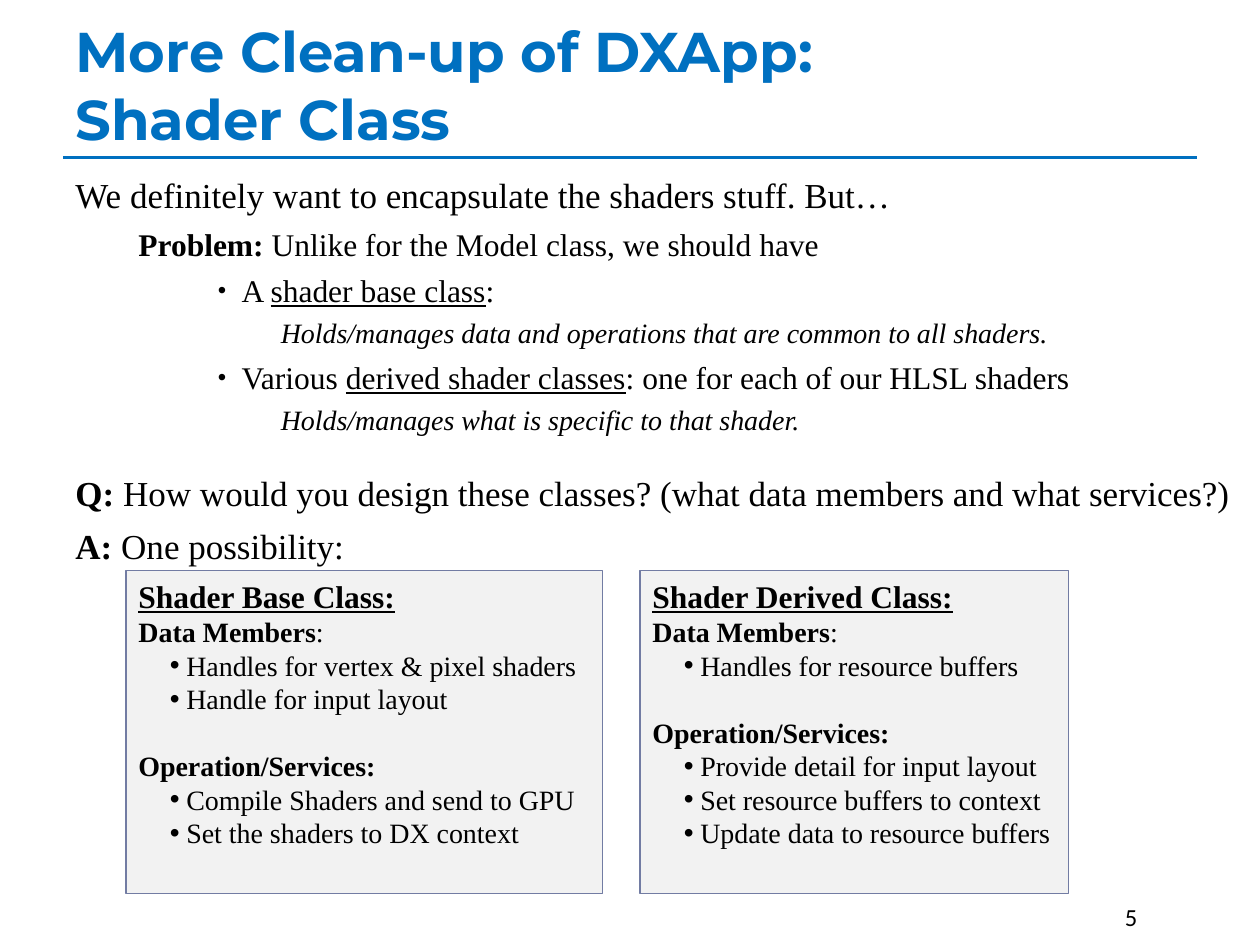
from lxml import etree
from pptx import Presentation
from pptx.dml.color import RGBColor
from pptx.enum.shapes import MSO_CONNECTOR, MSO_SHAPE
from pptx.enum.text import MSO_ANCHOR, PP_ALIGN
from pptx.oxml.ns import qn
from pptx.util import Inches, Pt

STRAIGHT = MSO_CONNECTOR.STRAIGHT
RECTANGLE = MSO_SHAPE.RECTANGLE
TOP, BOTTOM = MSO_ANCHOR.TOP, MSO_ANCHOR.BOTTOM
LEFT = PP_ALIGN.LEFT
BLUE, BLACK, PANEL_FILL, PANEL_LINE = "0070C0", "000000", "F2F2F2", "727CA3"
SERIF = "Times New Roman"

TITLE = [("title", [("More Clean-up of DXApp:\nShader Class", "b")])]
PAGE_NUMBER = [("number", [("5", "")])]
BODY = [
    ("statement", [("We definitely want to encapsulate the shaders stuff. But…", "")]),
    ("problem", [("Problem:", "b"), (" Unlike for the Model class, we should have", "")]),
    ("point", [("A ", ""), ("shader base class", "u"), (":", "")]),
    ("detail", [("Holds/manages data and operations that are common to all shaders.", "i")]),
    ("point", [("Various ", ""), ("derived shader classes", "u"),
               (": one for each of our HLSL shaders", "")]),
    ("detail", [("Holds/manages what is specific to that shader.", "i")]),
    ("question", [("Q: ", "b"),
                  ("How would you design these classes? "
                   "(what data members and what services?)", "")]),
    ("statement", [("A: ", "b"), ("One possibility:", "")]),
]
CLASSES = [
    ("Shader Base Class:", 3.78,
     ["Handles for vertex & pixel shaders", "Handle for input layout"],
     ["Compile Shaders and send to GPU", "Set the shaders to DX context"]),
    ("Shader Derived Class:", 3.4,
     ["Handles for resource buffers"],
     ["Provide detail for input layout", "Set resource buffers to context",
      "Update data to resource buffers"]),
]
STYLES = {
    "title": dict(size=32),
    "number": dict(size=14),
    "statement": dict(size=20, before=6),
    "question": dict(size=20, before=20),
    "problem": dict(size=18, before=5, margin=0.5),
    "point": dict(size=18, before=5, margin=1.32, hanging=0.19, bullet=76),
    "detail": dict(size=16, before=4, margin=1.63),
    "class": dict(size=18),
    "members": dict(size=16),
    "services": dict(size=16, before=19),
    "item": dict(size=16, margin=0.38, hanging=0.13, bullet=100),
}


def rgb(value):
    return RGBColor.from_string(value)


def format_paragraph(paragraph, before=0, margin=0, hanging=0, bullet=None):
    paragraph.alignment = LEFT
    paragraph.space_before = Pt(before)
    properties = paragraph._p.get_or_add_pPr()
    properties.set("marL", str(Inches(margin)))
    properties.set("indent", str(-Inches(hanging)))
    if bullet:
        etree.SubElement(properties, qn("a:buSzPct")).set("val", str(bullet * 1000))
        etree.SubElement(properties, qn("a:buFont")).set("typeface", "Arial")
        etree.SubElement(properties, qn("a:buChar")).set("char", "•")


def write(shape, paragraphs, font=SERIF, color=BLACK, anchor=TOP):
    frame = shape.text_frame
    frame.word_wrap = True
    frame.vertical_anchor = anchor
    for index, (style, spans) in enumerate(paragraphs):
        paragraph = frame.add_paragraph() if index else frame.paragraphs[0]
        layout = dict(STYLES[style])
        size = layout.pop("size")
        format_paragraph(paragraph, **layout)
        for text, marks in spans:
            for number, line in enumerate(text.split("\n")):
                if number:
                    paragraph.add_line_break()
                run = paragraph.add_run()
                run.text = line
                run.font.name = font
                run.font.size = Pt(size)
                run.font.color.rgb = rgb(color)
                run.font.bold = "b" in marks
                run.font.italic = "i" in marks
                run.font.underline = "u" in marks


def add_text(slide, box, paragraphs, **formatting):
    write(slide.shapes.add_textbox(*map(Inches, box)), paragraphs, **formatting)


def add_panel(slide, box, paragraphs):
    panel = slide.shapes.add_shape(RECTANGLE, *map(Inches, box))
    panel.shadow.inherit = False
    panel.fill.solid()
    panel.fill.fore_color.rgb = rgb(PANEL_FILL)
    panel.line.color.rgb = rgb(PANEL_LINE)
    panel.line.width = Pt(0.75)
    write(panel, paragraphs)


def class_paragraphs(name, members, services):
    return [
        ("class", [(name, "bu")]),
        ("members", [("Data Members", "b"), (":", "")]),
        *[("item", [(member, "")]) for member in members],
        ("services", [("Operation/Services:", "b")]),
        *[("item", [(service, "")]) for service in services],
    ]


def main():
    deck = Presentation()
    deck.slide_width, deck.slide_height = Inches(10), Inches(7.5)
    slide = deck.slides.add_slide(deck.slide_layouts[6])

    rule = slide.shapes.add_connector(
        STRAIGHT, Inches(0.5), Inches(1.25), Inches(9.5), Inches(1.25))
    rule.line.color.rgb = rgb(BLUE)
    rule.line.width = Pt(2)
    etree.SubElement(rule._element.spPr, qn("a:effectLst"))

    add_text(slide, (0.5, 0.17, 9.42, 1.08), TITLE,
             font="Montserrat", color=BLUE, anchor=BOTTOM)
    add_text(slide, (8.83, 7.11, 0.67, 0.4), PAGE_NUMBER, font="Calibri")
    add_text(slide, (0.5, 1.33, 9.42, 5.75), BODY)

    left, gap = 1, 0.3
    for name, width, members, services in CLASSES:
        add_panel(slide, (left, 4.53, width, 2.56),
                  class_paragraphs(name, members, services))
        left += width + gap

    deck.save("out.pptx")


if __name__ == "__main__":
    main()
